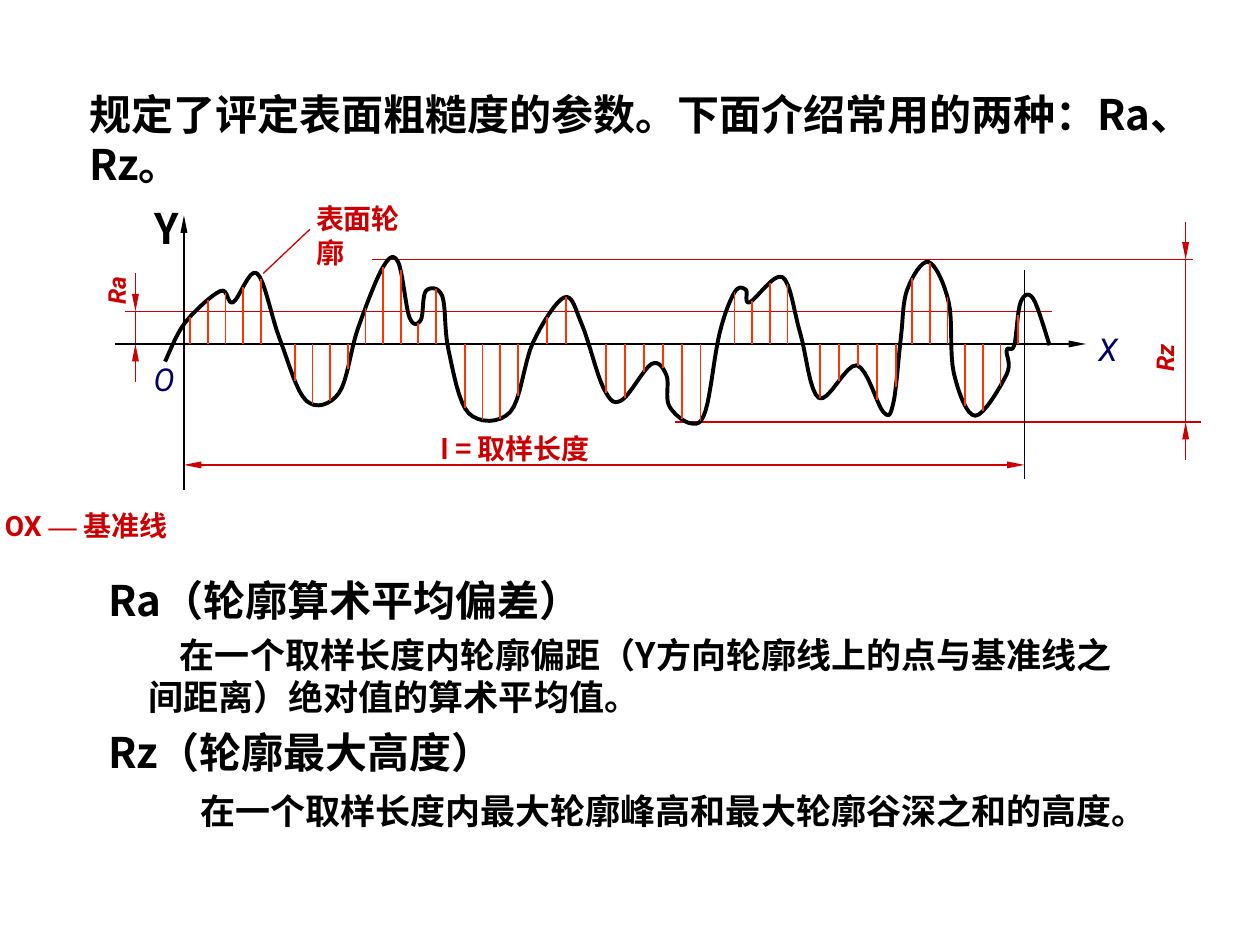
from itertools import pairwise

from lxml.etree import SubElement
from pptx import Presentation
from pptx.dml.color import RGBColor
from pptx.enum.shapes import MSO_CONNECTOR as Connector
from pptx.enum.text import MSO_ANCHOR as Anchor, MSO_AUTO_SIZE as AutoSize, PP_ALIGN as Align
from pptx.oxml.ns import qn
from pptx.util import Inches, Pt

HAN, LATIN, SERIF = "Noto Sans CJK SC", "Roboto", "Times New Roman"
BLACK, RED, ORANGE, NAVY = "000000", "CC0000", "FF3300", "000066"
COLUMNS, ROWS = 1000, 750  # grid over the whole slide

# Rows and columns of the figure that several parts share
AXIS, MEAN, PEAK, VALLEY = 173, 147, 106, 235
ORIGIN, SAMPLE_END = 146, 813
STEMS = [(151, 5, 14), (234, 9, 14), (369, 4, 14), (434, 2, 15), (481, 6, 15),
         (583, 4, 14), (651, 5, 15), (724, 7, 14)]  # first column, count, step

# Turning points of the surface profile
PROFILE = [
    (131, 187), (147, 156), (175, 131), (185, 140), (204, 117), (222, 169), (243, 218),
    (269, 212), (284, 161), (304, 112), (316, 108), (325, 152), (334, 154), (338, 131),
    (351, 135), (356, 178), (372, 228), (405, 227), (423, 172), (448, 136), (462, 158),
    (479, 208), (493, 218), (517, 189), (529, 198), (531, 222), (548, 236), (560, 226),
    (571, 165), (583, 132), (592, 130), (595, 140), (621, 120), (635, 164), (650, 216),
    (680, 190), (701, 227), (709, 220), (715, 168), (720, 130), (737, 108), (753, 140),
    (757, 196), (774, 230), (799, 197), (799, 178), (805, 174), (810, 140), (820, 137),
    (833, 174),
]


def rgb(hex_color):
    return RGBColor.from_string(hex_color)


def fill_frame(frame, paragraphs, size, color=BLACK, bold=True, italic=False,
               wrap=True, align=Align.LEFT, indent=0, gap=0):
    """Each paragraph is a list of (text, font) runs."""
    frame.word_wrap = wrap
    frame.auto_size = AutoSize.SHAPE_TO_FIT_TEXT
    for i, runs in enumerate(paragraphs):
        paragraph = frame.paragraphs[0] if i == 0 else frame.add_paragraph()
        paragraph.alignment = align
        if indent:
            paragraph._p.get_or_add_pPr().set("indent", str(Inches(indent)))
        if i:
            paragraph.space_before = Pt(gap)
        for text, face in runs:
            run = paragraph.add_run()
            run.text = text
            font = run.font
            font.name, font.size, font.bold, font.italic = face, Pt(size), bold, italic
            font.color.rgb = rgb(color)
            SubElement(run._r.get_or_add_rPr(), qn("a:ea"), typeface=HAN)


class Region:
    """A box on the slide, measured in slide columns and rows."""

    def __init__(self, prs, slide, left, top):
        self.shapes = slide.shapes
        self.left, self.top = left, top
        self.column, self.row = prs.slide_width / COLUMNS, prs.slide_height / ROWS

    def point(self, x, y):
        return round((self.left + x) * self.column), round((self.top + y) * self.row)

    def text(self, x, y, width, height, paragraphs, size, rotation=0, **style):
        box = self.shapes.add_textbox(*self.point(x, y), round(width * self.column),
                                      round(height * self.row))
        box.rotation = rotation
        fill_frame(box.text_frame, paragraphs, size, **style)
        return box

    def line(self, start, end, color=RED, width=0.75, arrows=()):
        line = self.shapes.add_connector(Connector.STRAIGHT, *self.point(*start),
                                         *self.point(*end))
        line.line.color.rgb = rgb(color)
        line.line.width = Pt(width)
        for arrow in arrows:
            SubElement(line.line._get_or_add_ln(), qn(f"a:{arrow}"),
                       type="triangle", w="sm", len="lg")
        SubElement(line._element.spPr, qn("a:effectLst"))

    def curve(self, points, color, width):
        start, *rest = [self.point(*p) for p in points]
        builder = self.shapes.build_freeform(*start)
        builder.add_line_segments(rest, close=False)
        curve = builder.convert_to_shape()
        curve.shadow.inherit = False
        curve.fill.background()
        curve.line.color.rgb = rgb(color)
        curve.line.width = Pt(width)


def smooth(knots, steps=8):
    """Catmull-Rom points through the knots."""
    padded = [knots[0], *knots, knots[-1]]
    points = [knots[0]]
    for a, b, c, d in zip(padded, padded[1:], padded[2:], padded[3:]):
        for t in (n / steps for n in range(1, steps + 1)):
            points.append(tuple(
                q + ((r - p) * t + (2 * p - 5 * q + 4 * r - s) * t**2
                     + (3 * q - p - 3 * r + s) * t**3) / 2
                for p, q, r, s in zip(a, b, c, d)))
    return points


def profile_row(profile, x):
    """Row of the profile at column x, the one nearest the axis."""
    rows = [y0 + (y1 - y0) * (x - x0) / (x1 - x0)
            for (x0, y0), (x1, y1) in pairwise(profile)
            if x0 != x1 and min(x0, x1) <= x <= max(x0, x1)]
    return min(rows, key=lambda y: abs(y - AXIS))


def add_heading(prs, slide):
    title = slide.shapes.title
    region = Region(prs, slide, 61, 65)
    title.left, title.top = region.point(0, 0)
    title.width, title.height = round(927 * region.column), round(90 * region.row)
    title.text_frame.vertical_anchor = Anchor.TOP
    fill_frame(title.text_frame,
               [[("规定了评定表面粗糙度的参数。下面介绍常用的两种：Ra、Rz。", HAN)]], 24)


def add_height_mark(region, x, top, bottom, label, label_x, label_y):
    """Height dimension with outside arrows and an upright label."""
    region.line((x, top - 30), (x, top), arrows=["tailEnd"])
    region.line((x, top), (x, bottom))
    region.line((x, bottom + 30), (x, bottom), arrows=["tailEnd"])
    region.text(label_x, label_y, 55, 34, [[(label, LATIN)]], 14, rotation=270,
                color=RED, italic=True)


def add_profile_figure(region):
    # Sampling length
    region.line((SAMPLE_END, 193), (SAMPLE_END, 280), NAVY)
    region.line((ORIGIN, 269), (SAMPLE_END, 269), arrows=["headEnd", "tailEnd"])
    region.text(340, 238, 279, 37, [[("l ", LATIN), ("= 取样长度", HAN)]], 16, color=RED)
    region.text(-6, 299, 165, 37, [[("OX ", LATIN), ("— ", SERIF), ("基准线", HAN)]], 16,
                color=RED, wrap=False)

    # Profile callout
    region.line((209, 117), (246, 82))
    region.text(241, 55, 108, 37, [[("表面轮廓", SERIF)]], 16, color=RED, wrap=False)

    # Ra and Rz with their extension lines
    for row, left, right in [(MEAN, 99, 835), (PEAK, 295, 947), (VALLEY, 536, 953)]:
        region.line((left, row), (right, row))
    add_height_mark(region, 107.5, MEAN, AXIS, "Ra", 65, 107)
    add_height_mark(region, 941, PEAK, VALLEY, "Rz", 897, 160)

    # Axes and end of the sampling length
    region.line((SAMPLE_END, 114), (SAMPLE_END, 261), BLACK, 1)
    region.line((ORIGIN, 289), (ORIGIN, 71), BLACK, 1, ["tailEnd"])
    region.line((91, AXIS), (862, AXIS), BLACK, 1, ["tailEnd"])

    # Profile and its deviations from the axis
    profile = smooth(PROFILE)
    region.curve(profile, BLACK, 2.25)
    for first, count, step in STEMS:
        for x in range(first, first + count * step, step):
            region.line((x, AXIS), (x, profile_row(profile, x)), ORANGE, 1)

    # Axis names
    y_name = region.text(112, 56, 40, 50, [[("Y", HAN)]], 24, wrap=False, align=Align.CENTER)
    y_name.text_frame.vertical_anchor = Anchor.MIDDLE
    axis_style = dict(color=NAVY, bold=False, italic=True)
    region.text(112, 181, 38, 40, [[("O", LATIN)]], 18, wrap=False, **axis_style)
    region.text(862, 157, 57, 40, [[("X", LATIN)]], 18, **axis_style)


def add_definitions(region):
    region.text(0, 0, 478, 170, [[("Ra（轮廓算术平均偏差）", HAN)], [("Rz（轮廓最大高度）", HAN)]],
                24, gap=58)
    region.text(32, 47, 800, 77, [[(
        "在一个取样长度内轮廓偏距（Y方向轮廓线上的点与基准线之间距离）绝对值的算术平均值。",
        HAN)]], 20, indent=0.25)
    region.text(23, 171, 862, 77, [[(
        "在一个取样长度内最大轮廓峰高和最大轮廓谷深之和的高度。", SERIF)]], 20, indent=0.5)


def main():
    prs = Presentation()
    prs.slide_width, prs.slide_height = Inches(10), Inches(7.5)
    slide = prs.slides.add_slide(prs.slide_layouts[5])
    add_heading(prs, slide)
    add_profile_figure(Region(prs, slide, 0, 100))
    add_definitions(Region(prs, slide, 76, 451))
    prs.save("out.pptx")


if __name__ == "__main__":
    main()
